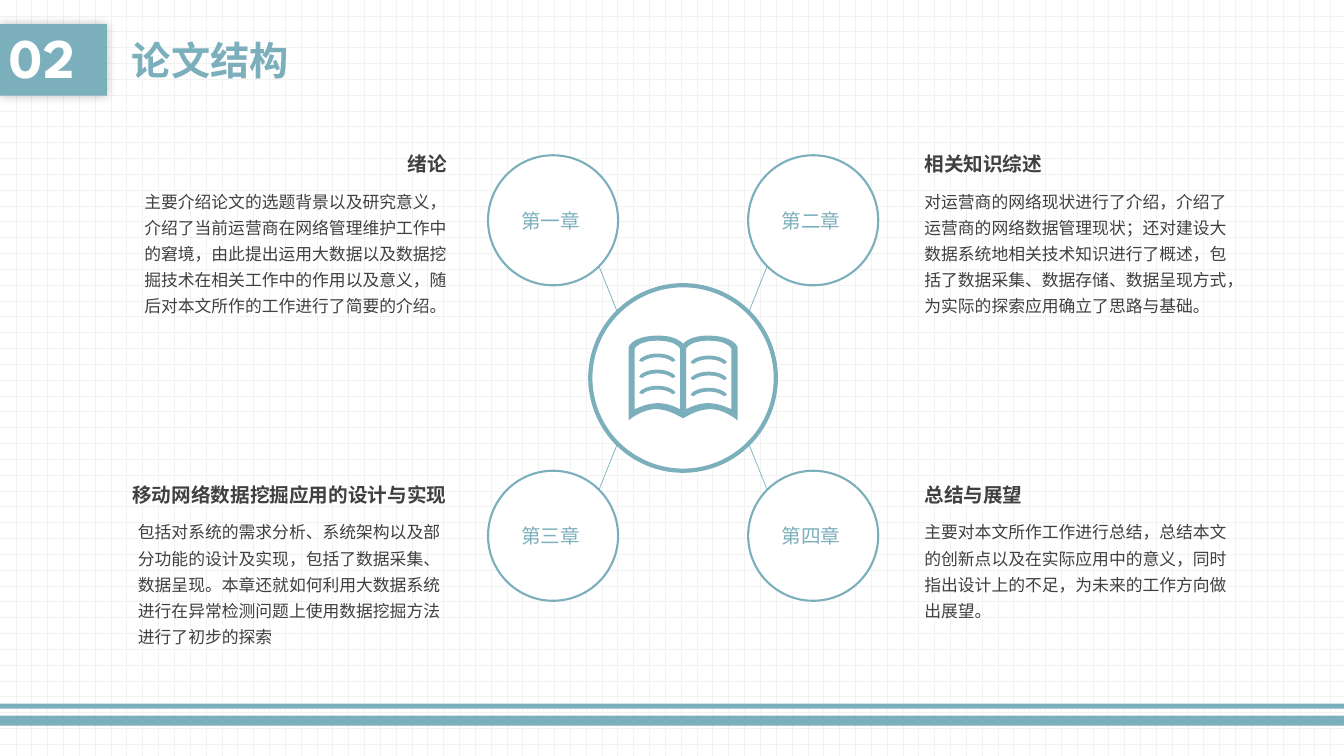
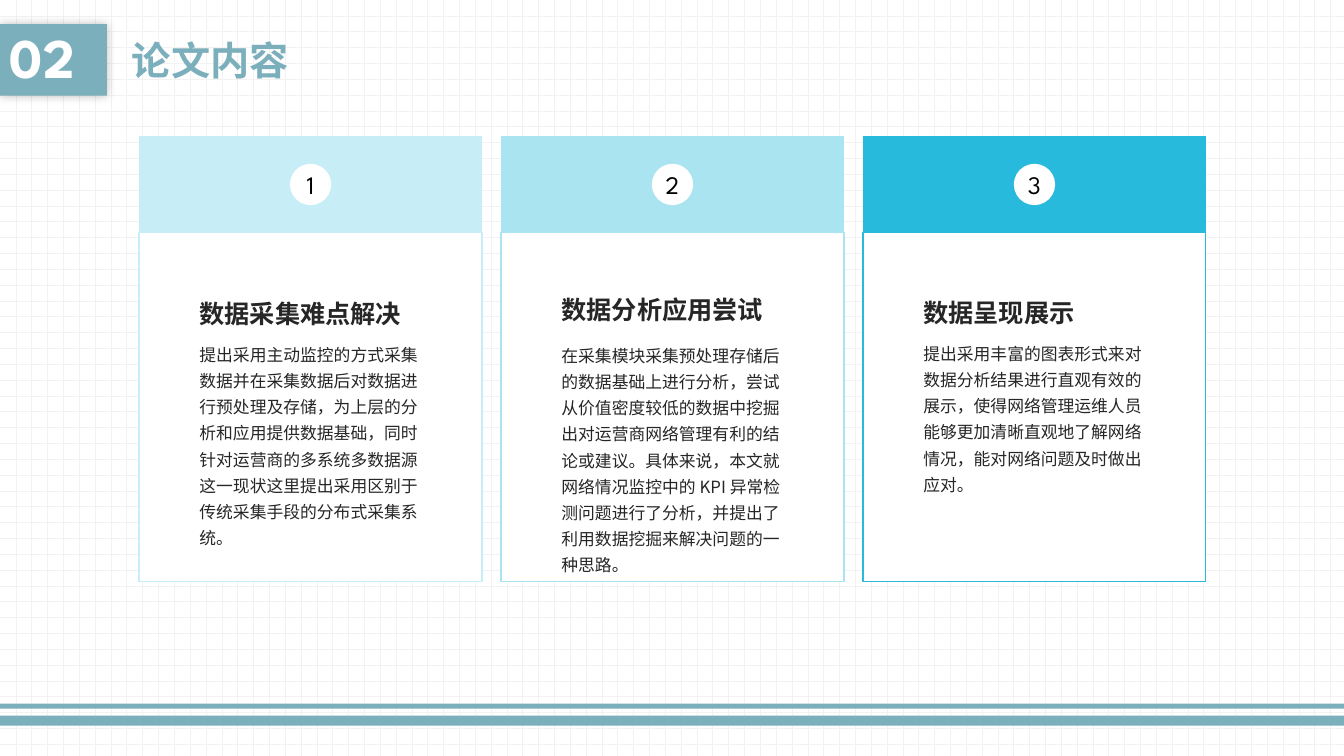
from lxml import etree
from pptx import Presentation
from pptx.dml.color import RGBColor
from pptx.enum import dml, lang, shapes, text
from pptx.oxml import ns
from pptx.util import Inches, Pt

COLORS = {
    "teal": "7CAFBC", "white": "FFFFFF", "grid": "F2F2F2", "black": "000000",
    "body": "404040", "ink": "262626",
    "pale": "C7EDF6", "light": "ABE4F1", "bright": "28BADC",
}
DISPLAY = "League Spartan"
CJK = "Noto Sans CJK SC"
LEFT, CENTER, RIGHT = text.PP_ALIGN.LEFT, text.PP_ALIGN.CENTER, text.PP_ALIGN.RIGHT
TOP, MIDDLE = text.MSO_ANCHOR.TOP, text.MSO_ANCHOR.MIDDLE
RECT, OVAL = shapes.MSO_SHAPE.RECTANGLE, shapes.MSO_SHAPE.OVAL
DIAGONAL = 0.5 ** 0.5

CHAPTERS = [
    (-1, -1, "第一章 ", "绪论", RIGHT,
     "主要介绍论文的选题背景以及研究意义，介绍了当前运营商在网络管理维护工作中的窘境，由此提出运用大数据以及数据挖掘技术在相关工作中的作用以及意义，随后对本文所作的工作进行了简要的介绍。"),
    (1, -1, "第二章 ", "相关知识综述", LEFT,
     "对运营商的网络现状进行了介绍，介绍了运营商的网络数据管理现状；还对建设大数据系统地相关技术知识进行了概述，包括了数据采集、数据存储、数据呈现方式，为实际的探索应用确立了思路与基础。"),
    (-1, 1, "第三章 ", "移动网络数据挖掘应用的设计与实现", LEFT,
     "包括对系统的需求分析、系统架构以及部分功能的设计及实现，包括了数据采集、数据呈现。本章还就如何利用大数据系统进行在异常检测问题上使用数据挖掘方法进行了初步的探索"),
    (1, 1, "第四章 ", "总结与展望", LEFT,
     "主要对本文所作工作进行总结，总结本文的创新点以及在实际应用中的意义，同时指出设计上的不足，为未来的工作方向做出展望。"),
]
CARDS = [
    ("pale", "数据采集难点解决", 1.47, 1.96,
     "提出采用主动监控的方式采集数据并在采集数据后对数据进行预处理及存储，为上层的分析和应用提供数据基础，同时针对运营商的多系统多数据源这一现状这里提出采用区别于传统采集手段的分布式采集系统。"),
    ("light", "数据分析应用尝试", 1.43, 1.97,
     "在采集模块采集预处理存储后的数据基础上进行分析，尝试从价值密度较低的数据中挖掘出对运营商网络管理有利的结论或建议。具体来说，本文就网络情况监控中的 KPI 异常检测问题进行了分析，并提出了利用数据挖掘来解决问题的一种思路。"),
    ("bright", "数据呈现展示", 1.46, 1.95,
     "提出采用丰富的图表形式来对数据分析结果进行直观有效的展示，使得网络管理运维人员能够更加清晰直观地了解网络情况，能对网络问题及时做出应对。"),
]

HALF_COVER = [
    (0, -0.34), (-0.04, -0.38, -0.11, -0.42, -0.25, -0.42),
    (-0.47, -0.42, -0.54, -0.33, -0.54, -0.3), (-0.54, 0.42), (-0.5, 0.39),
    (-0.48, 0.38, -0.37, 0.3, -0.25, 0.31), (-0.13, 0.32, -0.06, 0.37, 0, 0.4),
]
PAGE = [
    (-0.03, 0.31), (-0.07, 0.29, -0.15, 0.25, -0.25, 0.25),
    (-0.35, 0.25, -0.43, 0.29, -0.48, 0.31), (-0.48, -0.29),
    (-0.47, -0.31, -0.42, -0.37, -0.25, -0.37),
    (-0.09, -0.37, -0.04, -0.31, -0.03, -0.29),
]
TEXT_LINE = [
    (-0.17, 0.05), (-0.09, -0.02, 0.09, -0.02, 0.17, 0.05), (0.18, 0.07),
    (0.15, 0.08), (0.08, 0.02, -0.08, 0.02, -0.15, 0.08), (-0.18, 0.07),
]


def rgb(name):
    return RGBColor.from_string(COLORS[name])


def write(shape, words, *, size, color, font=DISPLAY, bold=False, align=LEFT,
          anchor=TOP, spacing=None, before=None, inset=0.1):
    frame = shape.text_frame
    frame.word_wrap = True
    frame.vertical_anchor = anchor
    frame.margin_left = frame.margin_right = Inches(inset)
    paragraph = frame.paragraphs[0]
    paragraph.alignment = align
    if spacing:
        paragraph.line_spacing = spacing
    if before:
        paragraph.space_before = Pt(before)
    run = paragraph.add_run()
    run.text = words
    run.font.name = font
    run.font.size = Pt(size)
    run.font.bold = bold
    run.font.color.rgb = rgb(color)
    run.font.language_id = lang.MSO_LANGUAGE_ID.SIMPLIFIED_CHINESE
    east_asian = etree.SubElement(run.font._element, ns.qn("a:ea"))
    east_asian.set("typeface", CJK)


def add_text(slide, box, words, **style):
    write(slide.shapes.add_textbox(*map(Inches, box)), words, **style)


def paint(shape, fill, line=None, width=1):
    shape.shadow.inherit = False
    shape.fill.solid()
    shape.fill.fore_color.rgb = rgb(fill)
    if line:
        shape.line.color.rgb = rgb(line)
        shape.line.width = Pt(width)
    else:
        shape.line.fill.background()
    return shape


def add_block(slide, kind, box, fill, line=None, width=1):
    return paint(slide.shapes.add_shape(kind, *map(Inches, box)), fill, line, width)


def add_circle(slide, x, y, diameter, line=None, width=1):
    box = (x - diameter / 2, y - diameter / 2, diameter, diameter)
    return add_block(slide, OVAL, box, "white", line, width)


def add_glow(shape, blur, opacity):
    effects = shape._element.spPr.find(ns.qn("a:effectLst"))
    shadow = etree.SubElement(effects, ns.qn("a:outerShdw"), blurRad=str(Pt(blur)),
                              dist="0", dir="0", algn="ctr", rotWithShape="0")
    tone = etree.SubElement(shadow, ns.qn("a:srgbClr"), val=COLORS["black"])
    etree.SubElement(tone, ns.qn("a:alpha"), val=str(opacity * 1000))


def add_link(slide, start, end):
    link = slide.shapes.add_connector(shapes.MSO_CONNECTOR.STRAIGHT,
                                      *map(Inches, start + end))
    link.line.color.rgb = rgb("teal")
    link.line.width = Pt(0.5)
    etree.SubElement(link._element.spPr, ns.qn("a:effectLst"))


def trace(outline, steps=10):
    points = [outline[0]]
    for part in outline[1:]:
        if len(part) == 2:
            points.append(part)
            continue
        a, b, c, d = points[-1], part[:2], part[2:4], part[4:]
        for step in range(1, steps + 1):
            t = step / steps
            s = 1 - t
            points.append(tuple(s**3 * a[i] + 3 * s * s * t * b[i] + 3 * s * t * t * c[i]
                                + t**3 * d[i] for i in (0, 1)))
    return points


def mirror(points):
    return [(-x, y) for x, y in points]


def add_outline(slide, x, y, *contours):
    placed = [[(Inches(x + px), Inches(y + py)) for px, py in contour]
              for contour in contours]
    builder = slide.shapes.build_freeform(*placed[0][0])
    for index, contour in enumerate(placed):
        if index:
            builder.move_to(*contour[0])
        builder.add_line_segments(contour[1:], close=True)
    paint(builder.convert_to_shape(), "teal")


def draw_book(slide, x, y):
    half, page = trace(HALF_COVER), trace(PAGE)
    cover = half + mirror(half)[::-1]
    add_outline(slide, x, y, cover, page, mirror(page))
    for side, first in ((-1, -0.24), (1, -0.22)):
        for row in range(3):
            add_outline(slide, x + side * 0.255, y + first + row * 0.16, trace(TEXT_LINE))


def new_slide(prs, number, title):
    slide = prs.slides.add_slide(prs.slide_layouts[6])
    for top, height in ((7.1, 0.1), (6.98, 0.05)):
        add_block(slide, RECT, (0, top, 13.33, height), "teal")
    badge = add_block(slide, RECT, (0, 0.24, 1.06, 0.71), "teal")
    add_glow(badge, blur=7, opacity=25)
    write(badge, number, size=40, color="white", bold=True, anchor=MIDDLE,
          spacing=0.9, before=10)
    add_text(slide, (1.21, 0.24, 7.04, 0.71), title, size=28, color="teal",
             bold=True, anchor=MIDDLE, before=10)
    return slide


def draw_chapter(slide, hub_x, hub_y, chapter):
    side, level, label, heading, body_align, summary = chapter
    diameter = 1.29
    x, y = hub_x + side * 1.29, hub_y + level * 1.565
    circle = add_circle(slide, x, y, diameter, "teal", 1.5)
    write(circle, label, size=14, color="teal", align=CENTER, anchor=MIDDLE)
    reach, hub_reach = diameter / 2 * DIAGONAL, 0.92 * DIAGONAL
    add_link(slide, (x - side * reach, y - level * reach),
             (hub_x + side * hub_reach, hub_y + level * hub_reach))

    width, heading_width = 3.26, 3.4
    left = 9.07 if side > 0 else 1.27
    top = 1.39 if level < 0 else 4.67
    heading_left = left if side > 0 else left + width - heading_width
    add_text(slide, (heading_left, top, heading_width, 0.4), heading, size=14,
             color="body", bold=True, align=LEFT if side > 0 else RIGHT, spacing=1.3)
    add_text(slide, (left, top + 0.4, width, 1.65), summary, size=12, color="body",
             font=CJK, align=body_align, spacing=1.3)


def draw_structure(slide, hub_x, hub_y):
    add_circle(slide, hub_x, hub_y, 1.84, "teal", 3)
    draw_book(slide, hub_x, hub_y)
    for chapter in CHAPTERS:
        draw_chapter(slide, hub_x, hub_y, chapter)


def draw_card(slide, left, top, number, card):
    color, heading, heading_drop, summary_drop, summary = card
    width, header = 3.4, 0.96
    add_block(slide, RECT, (left, top, width, header), color)
    add_block(slide, RECT, (left, top + header, width, 3.46), "white", color)
    add_text(slide, (left + 0.5, top + summary_drop, 2.47, 2.44), summary, size=12,
             color="ink", font=CJK, spacing=1.3)
    add_text(slide, (left + 0.5, top + heading_drop, 2.47, 0.46), heading, size=18,
             color="ink", bold=True, spacing=1.3)
    counter = add_circle(slide, left + width / 2, top + header / 2, 0.41)
    write(counter, str(number), size=18, color="black", align=CENTER, anchor=MIDDLE,
          inset=0)


def main():
    prs = Presentation()
    prs.slide_width, prs.slide_height = Inches(13.33), Inches(7.5)
    paper = prs.slide_master.background.fill
    paper.patterned()
    paper.pattern = dml.MSO_PATTERN.DOTTED_GRID
    paper.fore_color.rgb = rgb("grid")
    paper.back_color.rgb = rgb("white")

    draw_structure(new_slide(prs, "02", "论文结构"), 6.775, 3.75)
    content = new_slide(prs, "02", "论文内容")
    for index, card in enumerate(CARDS):
        draw_card(content, 1.38 + index * 3.59, 1.35, index + 1, card)
    prs.save("out.pptx")


if __name__ == "__main__":
    main()
